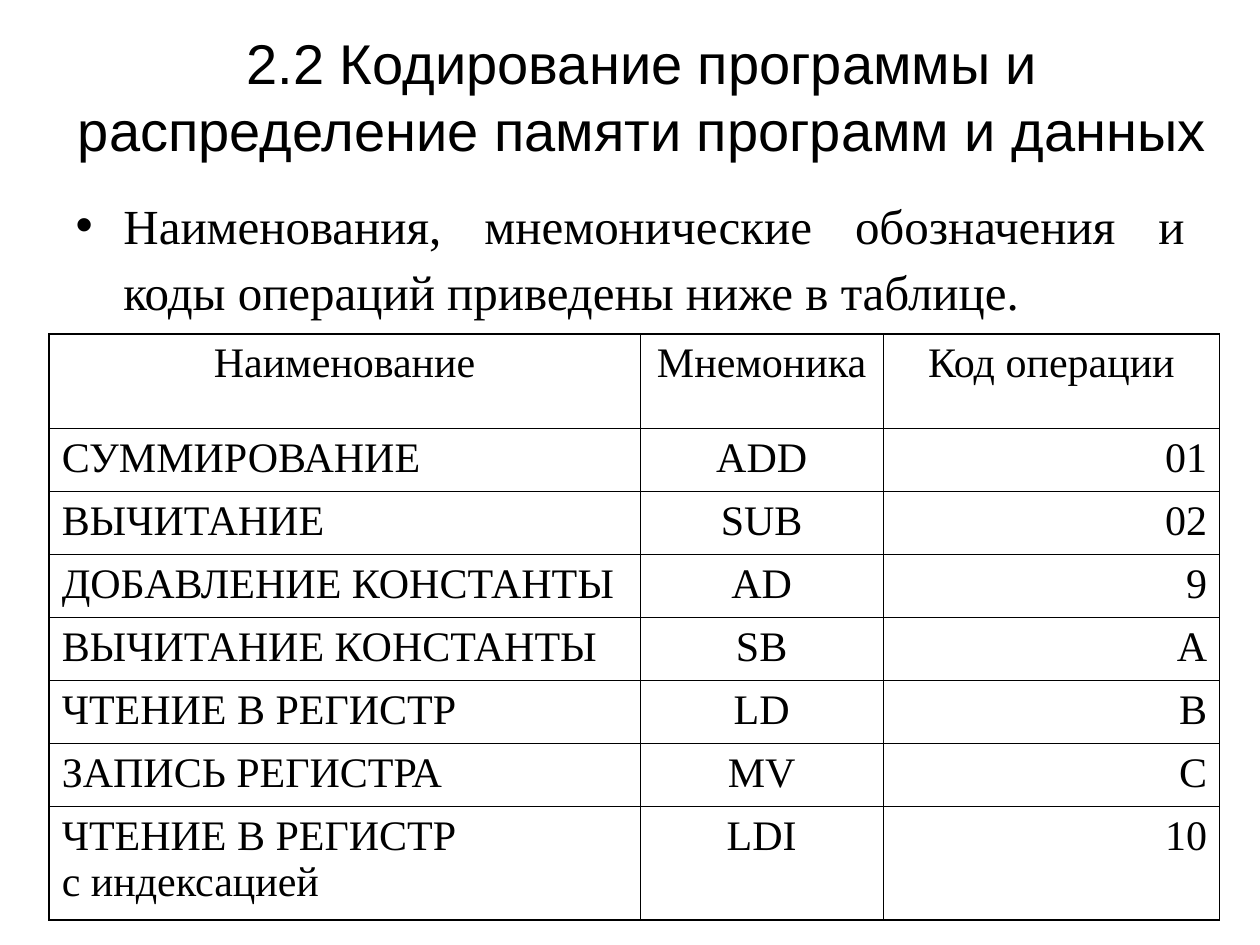
import dataclasses

import pptx
import pptx.dml.color
import pptx.enum.text
import pptx.oxml
import pptx.oxml.ns
import pptx.util

Inches = pptx.util.Inches
Pt = pptx.util.Pt
Align = pptx.enum.text.PP_ALIGN
Anchor = pptx.enum.text.MSO_ANCHOR
Fit = pptx.enum.text.MSO_AUTO_SIZE


@dataclasses.dataclass(frozen=True)
class Theme:
    """Hold the colours, fonts, type sizes and line widths."""
    ink: str = "000000"
    sans: str = "Arial"
    serif: str = "Times New Roman"
    head: int = 32
    body: int = 28
    cell: int = 24
    thin: float = 0.45
    thick: float = 1.08


THEME = Theme()
TITLE = "2.2 Кодирование программы и распределение памяти программ и данных"
LEAD = "Наименования, мнемонические обозначения и коды операций приведены ниже в таблице."
ROWS = [
    ("Наименование", "Мнемоника", "Код операции"),
    ("СУММИРОВАНИЕ", "ADD", "01"),
    ("ВЫЧИТАНИЕ", "SUB", "02"),
    ("ДОБАВЛЕНИЕ КОНСТАНТЫ", "AD", "9"),
    ("ВЫЧИТАНИЕ КОНСТАНТЫ", "SB", "A"),
    ("ЧТЕНИЕ В РЕГИСТР", "LD", "B"),
    ("ЗАПИСЬ РЕГИСТРА", "MV", "C"),
    ("ЧТЕНИЕ В РЕГИСТР\nс индексацией", "LDI", "10"),
]
WIDTHS = (4.69, 1.93, 2.67)
HEIGHTS = (0.75, *[0.5] * 6, 0.9)
ALIGNS = (Align.LEFT, Align.CENTER, Align.RIGHT)


def apply(item, values):
    """Set each named attribute of an item."""
    for name, value in values.items():
        setattr(item, name, value)


def place(shape, box):
    """Move a shape to a box of left, top, width and height in inches."""
    names = ("left", "top", "width", "height")
    apply(shape, dict(zip(names, map(Inches, box))))


def style(run, face, size):
    """Give a run its font, size and colour."""
    apply(run.font, {"name": face, "size": Pt(size), "bold": False})
    run.font.color.rgb = pptx.dml.color.RGBColor.from_string(THEME.ink)


def write(para, text, face, size, align):
    """Fill a paragraph with text of one style."""
    apply(para, {"text": text, "alignment": align})
    for run in para.runs:
        style(run, face, size)


def title(slide, box):
    """Place the slide title."""
    shape = slide.shapes.title
    place(shape, box)
    frame = shape.text_frame
    apply(frame, {"word_wrap": True, "auto_size": Fit.NONE,
                  "vertical_anchor": Anchor.MIDDLE})
    write(frame.paragraphs[0], TITLE, THEME.sans, THEME.head, Align.CENTER)


def lead(slide, box):
    """Place the bulleted sentence above the table."""
    shape = slide.placeholders[1]
    place(shape, box)
    frame = shape.text_frame
    apply(frame, {"word_wrap": True, "auto_size": Fit.NONE,
                  "vertical_anchor": Anchor.TOP})
    para = frame.paragraphs[0]
    write(para, LEAD, THEME.serif, THEME.body, Align.JUSTIFY)
    tail = para.add_run()
    tail.text = "  "
    style(tail, THEME.sans, THEME.head)
    para.space_before = Pt(8)
    props = para._p.get_or_add_pPr()
    props.set("marL", str(Inches(0.38)))
    props.set("indent", str(Inches(-0.38)))
    space = pptx.oxml.ns.nsdecls("a")
    for part in (f'<a:buClr {space}><a:srgbClr val="{THEME.ink}"/></a:buClr>',
                 f'<a:buFont {space} typeface="{THEME.sans}"/>',
                 f'<a:buChar {space} char="•"/>'):
        props.append(pptx.oxml.parse_xml(part))


def border(cell, edges):
    """Draw the four borders, thick on the outer edges."""
    for side, outer in edges.items():
        width = Pt(THEME.thick if outer else THEME.thin)
        cell._tc.get_or_add_tcPr().append(pptx.oxml.parse_xml(
            f'<a:ln{side} {pptx.oxml.ns.nsdecls("a")} w="{width}">'
            f'<a:solidFill><a:srgbClr val="{THEME.ink}"/></a:solidFill>'
            f'</a:ln{side}>'))


def codes(slide, box):
    """Place the table of operation codes."""
    shape = slide.shapes.add_table(len(ROWS), len(WIDTHS), *map(Inches, box))
    table = shape.table
    apply(table, {"first_row": False, "horz_banding": False})
    for col, width in zip(table.columns, WIDTHS):
        col.width = Inches(width)
    for row, height in zip(table.rows, HEIGHTS):
        row.height = Inches(height)
    for r, row in enumerate(ROWS):
        for c, text in enumerate(row):
            cell = table.cell(r, c)
            border(cell, {"L": c == 0, "R": c == len(WIDTHS) - 1,
                          "T": r == 0, "B": r == len(ROWS) - 1})
            cell.fill.background()
            align = ALIGNS[c] if r else Align.CENTER
            write(cell.text_frame.paragraphs[0], text,
                  THEME.serif, THEME.cell, align)


def main():
    """Build and save the slide."""
    deck = pptx.Presentation()
    apply(deck, {"slide_width": Inches(10), "slide_height": Inches(7.5)})
    slide = deck.slides.add_slide(deck.slide_layouts[1])
    title(slide, (0.43, 0.01, 9.34, 1.5))
    lead(slide, (0.5, 1.5, 9, 1.18))
    codes(slide, (0.39, 2.65, sum(WIDTHS), sum(HEIGHTS)))
    deck.save("out.pptx")


if __name__ == "__main__":
    main()
